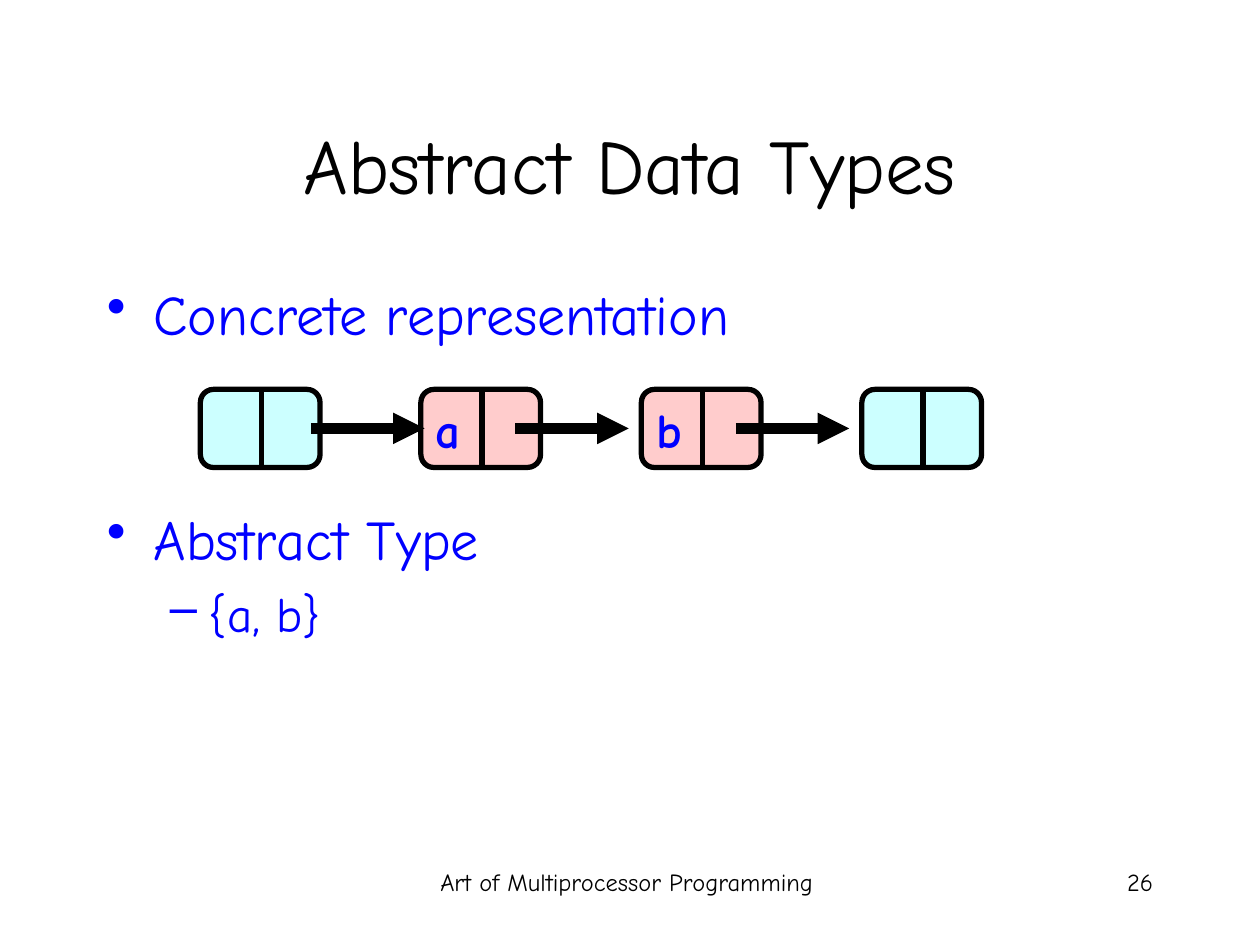
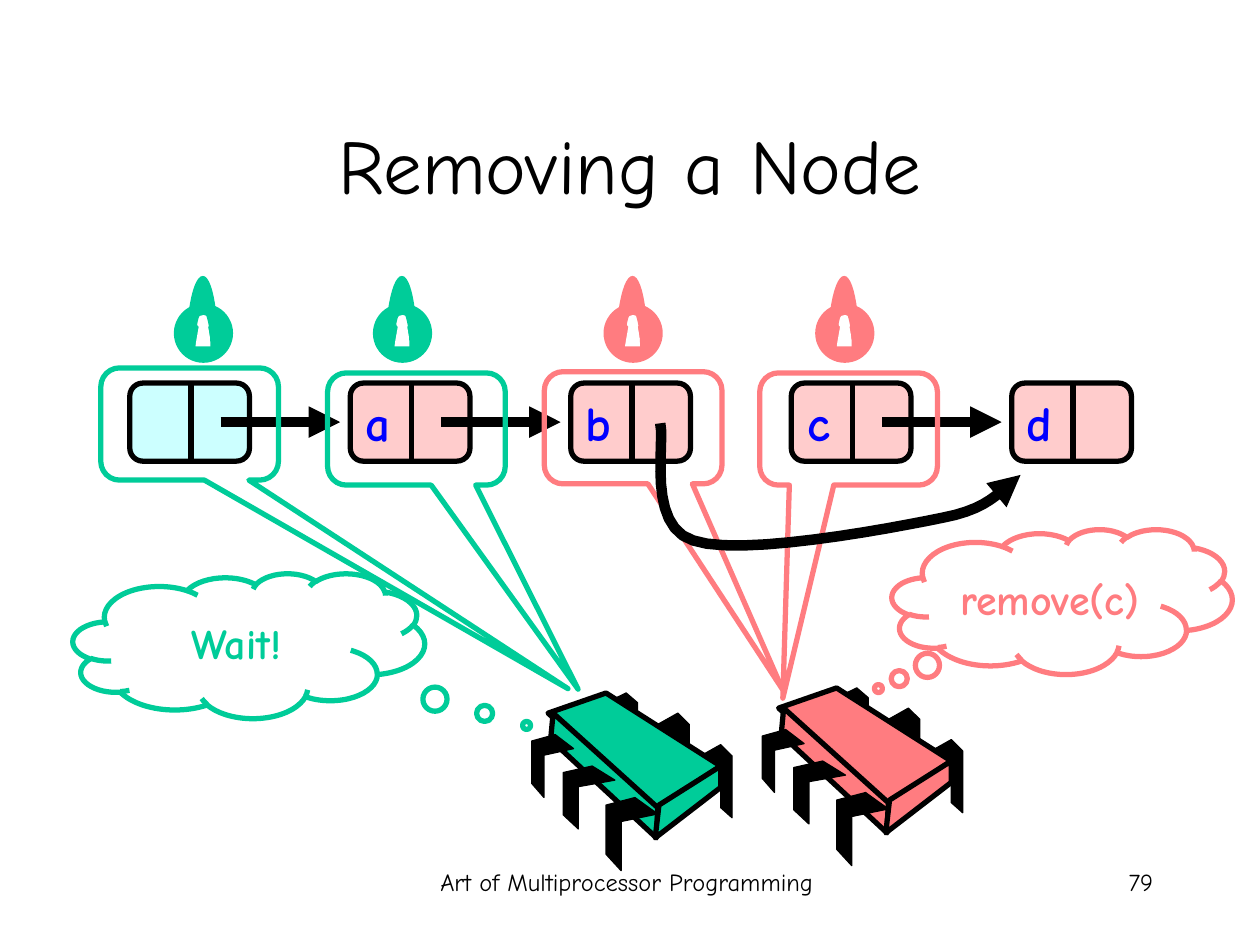
import pptx
import pptx.util
import pptx.dml.color
import pptx.enum.shapes
import pptx.enum.text
import pptx.oxml
import pptx.oxml.ns
from dataclasses import dataclass

Inches = pptx.util.Inches
Pt = pptx.util.Pt
Kind = pptx.enum.shapes.MSO_SHAPE
Align = pptx.enum.text.PP_ALIGN
Anchor = pptx.enum.text.MSO_ANCHOR
qn = pptx.oxml.ns.qn


@dataclass(frozen=True)
class Theme:
    font: str = "Comic Neue"
    black: str = "000000"
    white: str = "FFFFFF"
    blue: str = "0000FF"
    aqua: str = "CCFFFF"
    pink: str = "FFCCCC"
    green: str = "00CC99"
    red: str = "FF7C80"
    title: int = 44
    body: int = 32
    sub: int = 28
    cloud: int = 24
    foot: int = 14
    thin: float = 0.75
    edge: float = 3
    arrow: float = 6


# Node layout
STEP, NODE_W, NODE_H = 1.75, 0.95, 0.62

# Chip outlines, measured from the chip's left top corner
BACK_LEG = [(0, 0.09), (0.16, 0), (0.25, 0.09), (0.25, 0.58),
            (0.16, 0.5), (0.16, 0.17), (0, 0.25)]
FRONT_LEG = [(0.23, 0), (0.41, 0.13), (0.12, 0.19), (0.12, 0.58),
             (0, 0.45), (0, 0.06)]
BACK_SPOTS = [(1.34, 0.41, 1, 1), (1, 0.16, 1, 1), (0.59, 0, 1, 0.86)]
FRONT_SPOTS = [(0.59, 0.83, 1, 1), (0.25, 0.58, 1, 0.86),
               (0, 0.33, 0.81, 0.86)]
FACES = [
    [(0.59, 0), (1.5, 0.58), (0.99, 0.92), (0.13, 0.16)],
    [(0.17, 0.16), (1, 0.91), (0.99, 1.15), (0.15, 0.37)],
    [(1.5, 0.58), (1.5, 0.75), (0.98, 1.15), (1.01, 0.89)],
]


def color(code):
    return pptx.dml.color.RGBColor.from_string(code)


def curve(start, *bends, count=12):
    """Points along a chain of cubic curves."""
    points = [start]
    for b, c, d in bends:
        a = points[-1]
        for i in range(1, count + 1):
            t = i / count
            u = 1 - t
            points.append(tuple(
                u**3 * p + 3 * u * u * t * q + 3 * u * t * t * r + t**3 * s
                for p, q, r, s in zip(a, b, c, d)))
    return points


def shift(points, left, top, wide=1, high=1):
    return [(left + x * wide, top + y * high) for x, y in points]


class Deck:
    def __init__(self, theme):
        self.theme = theme
        self.prs = pptx.Presentation()
        self.prs.slide_width = Inches(10)
        self.prs.slide_height = Inches(7.5)

    # Slide frame: title, footer and number
    def page(self, title, number):
        t = self.theme
        self.slide = self.prs.slides.add_slide(self.prs.slide_layouts[6])
        self.shapes = self.slide.shapes
        self.text((3.1, 6.83, 3.75, 0.5), "Art of Multiprocessor Programming",
                  t.foot, t.black)
        self.text((7.17, 6.83, 2.08, 0.5), str(number), t.foot, t.black,
                  Align.RIGHT)
        box = self.text((0.75, 0.67, 8.5, 1.25), title, t.title, t.black)
        box.text_frame.vertical_anchor = Anchor.MIDDLE

    def group(self):
        return self.slide.shapes.add_group_shape().shapes

    # Text
    def style(self, para, size, code, bold=False):
        for run in para.runs:
            run.font.name = self.theme.font
            run.font.size = Pt(size)
            run.font.bold = bold
            run.font.color.rgb = color(code)

    def label(self, shape, words, size, code, align, bold=False):
        shape.text_frame.text = words
        para = shape.text_frame.paragraphs[0]
        para.alignment = align
        self.style(para, size, code, bold)

    def text(self, place, words, size, code, align=Align.CENTER, bold=False,
             wrap=True):
        box = self.shapes.add_textbox(*map(Inches, place))
        box.text_frame.word_wrap = wrap
        self.label(box, words, size, code, align, bold)
        return box

    def bullets(self, place, items):
        t = self.theme
        frame = self.shapes.add_textbox(*map(Inches, place)).text_frame
        frame.word_wrap = True
        frame.text = "\n".join(words for words, _, _ in items)
        for para, (_, level, space) in zip(frame.paragraphs, items):
            left, hang, sign, size = [(0.37, 0.37, "•", t.body),
                                      (0.81, 0.31, "–", t.sub)][level]
            para.level = level
            para.space_before = Pt(space)
            props = para._p.get_or_add_pPr()
            props.set("marL", str(Inches(left)))
            props.set("indent", str(-Inches(hang)))
            mark = pptx.oxml.parse_xml(
                f'<a:buChar {pptx.oxml.ns.nsdecls("a")} char="{sign}"/>')
            props.append(mark)
            self.style(para, size, t.blue)

    # Shapes and lines
    def paint(self, shape, fill, line, width):
        shape.shadow.inherit = False
        if fill:
            shape.fill.solid()
            shape.fill.fore_color.rgb = color(fill)
        else:
            shape.fill.background()
        if line:
            shape.line.color.rgb = color(line)
            shape.line.width = Pt(width)
        else:
            shape.line.fill.background()
        return shape

    def shape(self, kind, place, fill=None, line=None, adjust=()):
        item = self.shapes.add_shape(kind, *map(Inches, place))
        for i, value in enumerate(adjust):
            item.adjustments[i] = value
        return self.paint(item, fill, line, self.theme.edge)

    def free(self, points, fill=None, line=None, width=0, close=True):
        spots = [(Inches(x), Inches(y)) for x, y in points]
        pen = self.shapes.build_freeform(*spots[0])
        pen.add_line_segments(spots[1:], close=close)
        return self.paint(pen.convert_to_shape(), fill, line, width)

    def tip(self, item):
        line = item.element.spPr.find(qn("a:ln"))
        line.append(pptx.oxml.parse_xml(
            f'<a:tailEnd {pptx.oxml.ns.nsdecls("a")} type="triangle"/>'))

    def line(self, start, end, width):
        item = self.shapes.add_connector(
            pptx.enum.shapes.MSO_CONNECTOR.STRAIGHT,
            *map(Inches, (*start, *end)))
        item.line.color.rgb = color(self.theme.black)
        item.line.width = Pt(width)
        item.element.spPr.append(pptx.oxml.parse_xml(
            f'<a:effectLst {pptx.oxml.ns.nsdecls("a")}/>'))
        return item

    def arrow(self, left, y, length):
        self.tip(self.line((left, y), (left + length, y), self.theme.arrow))

    # List nodes, evenly spaced; an empty name makes a sentinel
    def chain(self, left, top, names):
        t = self.theme
        for i, name in enumerate(names):
            x = left + i * STEP
            self.shapes = self.group()
            self.shape(Kind.ROUNDED_RECTANGLE, (x, top, NODE_W, NODE_H),
                       t.pink if name else t.aqua, t.black, [0.167])
            mid = x + 0.485
            self.line((mid, top), (mid, top + NODE_H), t.edge)
            if name:
                self.text((x + 0.02, top + 0.03, 0.39, 0.57), name, t.sub,
                          t.blue, Align.RIGHT, True, False)
        self.shapes = self.slide.shapes

    def chip(self, left, top, fill):
        t = self.theme
        self.shapes = self.group()

        def legs(leg, spots):
            for x, y, wide, high in spots:
                self.free(shift(leg, left + x, top + y, wide, high),
                          t.black, t.black, t.thin)

        legs(BACK_LEG, BACK_SPOTS)
        for face in FACES:
            self.free(shift(face, left, top), fill, t.black, t.edge)
        legs(FRONT_LEG, FRONT_SPOTS)
        self.shapes = self.slide.shapes

    def lock(self, left, top, fill):
        t = self.theme
        self.shapes = self.group()
        self.shape(Kind.OVAL, (left, top + 0.22, 0.47, 0.47), fill)
        self.shape(Kind.OVAL, (left + 0.18, top + 0.31, 0.11, 0.11), t.white)
        slot = [(0, 0.17), (0.03, 0), (0.1, 0), (0.13, 0.17)]
        self.free(shift(slot, left + 0.17, top + 0.39), t.white)
        inner = curve((0.07, 0.57),
                      ((0.07, 0.41), (0.1, 0.28), (0.13, 0.28)),
                      ((0.16, 0.28), (0.19, 0.41), (0.19, 0.57)))
        outer = curve((0.25, 0.57),
                      ((0.25, 0.25), (0.2, 0), (0.13, 0)),
                      ((0.06, 0), (0, 0.25), (0, 0.57)))
        self.free(shift(inner + outer, left + 0.1, top), fill)
        self.shapes = self.slide.shapes

    def claim(self, left, top, aim, line):
        self.shape(Kind.ROUNDED_RECTANGULAR_CALLOUT, (left, top, 1.41, 0.89),
                   None, line, [*aim, 0.167])

    def cloud(self, place, words, aim, code):
        item = self.shape(Kind.CLOUD_CALLOUT, place, None, code, aim)
        item.text_frame.word_wrap = True
        item.text_frame.vertical_anchor = Anchor.MIDDLE
        self.label(item, words, self.theme.cloud, code, Align.CENTER, True)


def types(deck):
    deck.page("Abstract Data Types", 26)
    deck.bullets((0.75, 2.17, 8.5, 4.5), [
        ("Concrete representation", 0, 0),
        ("Abstract Type", 0, 90),
        ("{a, b}", 1, 7),
    ])
    deck.chain(1.59, 3.09, ["", "a", "b", ""])
    for left in (4.09, 5.84, 2.47):
        deck.arrow(left, 3.4, 0.9)


def remove(deck):
    t = deck.theme
    deck.page("Removing a Node", 79)

    # List
    deck.chain(1.03, 3.04, ["", "a", "b", "c", "d"])
    for i in (0, 1, 3):
        deck.arrow(1.75 + i * STEP, 3.35, 0.95)

    # Threads and what they think
    deck.chip(4.22, 5.5, t.green)
    deck.chip(6.05, 5.46, t.red)
    deck.cloud((0.58, 4.55, 2.79, 1.15), "Wait!", (0.79, 0.55), t.green)
    deck.cloud((7.08, 4.2, 2.7, 1.15), "remove(c)", (-0.54, 0.6), t.red)

    # Locks and the nodes they hold
    for left, top, aim, spot, code in [
            (2.6, 2.96, (0.91, 2.32), 2.96, t.green),
            (0.8, 2.92, (2.13, 2.36), 1.38, t.green),
            (4.32, 2.95, (0.84, 2.33), 4.79, t.red),
            (6.03, 2.96, (-0.37, 2.4), 6.47, t.red)]:
        deck.claim(left, top, aim, code)
        deck.lock(spot, 2.19, code)

    # Link around the removed node
    bend = curve((5.24, 3.36),
                 ((5.28, 3.52), (5.13, 4.17), (5.5, 4.29)),
                 ((5.87, 4.42), (7.04, 4.2), (7.48, 4.11)),
                 ((7.91, 4.03), (7.97, 3.84), (8.1, 3.77)))
    deck.tip(deck.free(bend, None, t.black, t.arrow, False))


def main():
    deck = Deck(Theme())
    types(deck)
    remove(deck)
    deck.prs.save("out.pptx")


if __name__ == "__main__":
    main()
